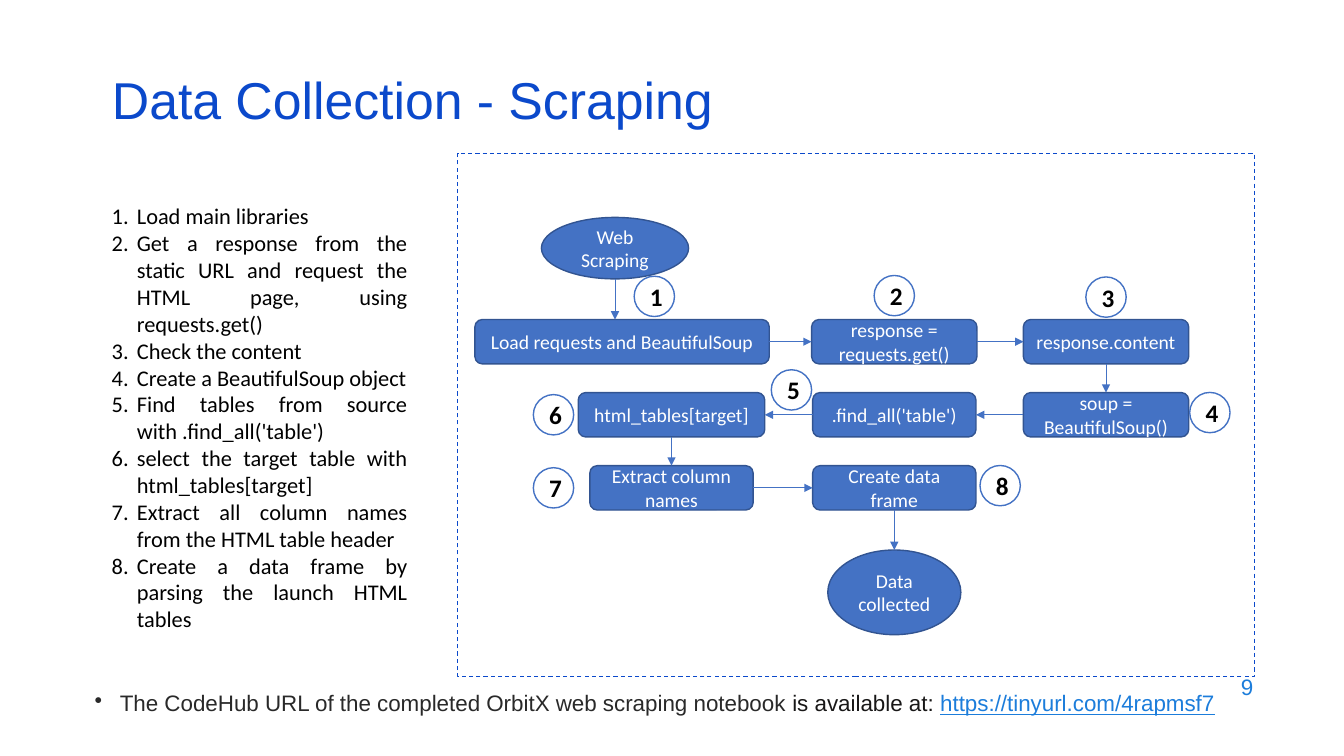
from lxml import etree
from pptx import Presentation
from pptx.dml.color import RGBColor
from pptx.enum.dml import MSO_LINE
from pptx.enum.shapes import MSO_CONNECTOR, MSO_SHAPE
from pptx.enum.text import MSO_ANCHOR, PP_ALIGN
from pptx.oxml.ns import qn
from pptx.util import Inches, Pt

COLORS = {
    "title": "0B49CB", "link": "1C7DDB", "note": "292929", "note_end": "181717",
    "node": "4472C4", "node_line": "325491", "white": "FFFFFF", "black": "000000",
}

# Flow grid: centre of each column and of each row, in inches
COLS = {"edge": 5.49, "entry": 6.10, "load": 6.17, "start": 6.49, "left": 6.66,
        "gap": 7.85, "mid": 8.87, "gap2": 9.92, "right": 10.97, "end": 12.0}
ROW_TOP, ROW_STEP = 3.39, 0.725
NODE_H, BADGE = 0.44, 0.4
TOP, LEFT, BOTTOM, RIGHT = range(4)

STEPS = [
    "Load main libraries",
    "Get a response from the static URL and request the HTML page, using requests.get()",
    "Check the content",
    "Create a BeautifulSoup object",
    "Find tables from source with .find_all('table')",
    "select the target table with html_tables[target]",
    "Extract all column names from the HTML table header",
    "Create a data frame by parsing the launch HTML tables",
]

# name: text, column, row, width
NODES = {
    "load": ("Load requests and BeautifulSoup", "load", 0, 2.92),
    "response": ("response = requests.get()", "mid", 0, 1.64),
    "content": ("response.content", "right", 0, 1.64),
    "soup": ("soup = BeautifulSoup()", "right", 1, 1.64),
    "find": (".find_all('table')", "mid", 1, 1.62),
    "target": ("html_tables[target]", "left", 1, 1.85),
    "names": ("Extract column names", "left", 2, 1.62),
    "frame": ("Create data frame", "mid", 2, 1.62),
}

# text, column, row, width, height
TERMINALS = [
    ("Web Scraping", "entry", -1.28, 1.46, 0.61),
    ("Data collected", "mid", 3.43, 1.32, 0.84),
]

LINKS = [
    ("load", RIGHT, "response", LEFT),
    ("response", RIGHT, "content", LEFT),
    ("content", BOTTOM, "soup", TOP),
    ("soup", LEFT, "find", RIGHT),
    ("find", LEFT, "target", RIGHT),
    ("target", BOTTOM, "names", TOP),
    ("names", RIGHT, "frame", LEFT),
]

# Column and row of badges 1 to 8
BADGES = [("start", -0.62), ("mid", -0.63), ("right", -0.61), ("end", 0.97),
          ("gap", 0.66), ("edge", 1), ("edge", 2), ("gap2", 1.97)]


def rgb(name):
    return RGBColor.from_string(COLORS[name])


def style(r, size, font, color, bold=None):
    r.font.size, r.font.name, r.font.bold = Pt(size), font, bold
    r.font.color.rgb = rgb(color)


def add_bullet(p, tag, **attrs):
    pPr = p._p.get_or_add_pPr()
    pPr.set("marL", str(Inches(0.25)))
    pPr.set("indent", str(-Inches(0.25)))
    etree.SubElement(pPr, qn(tag), attrs)


def add_text(slide, x, y, w, h):
    tf = slide.shapes.add_textbox(Inches(x), Inches(y), Inches(w), Inches(h)).text_frame
    tf.word_wrap = True
    return tf


def add_title(slide, text):
    sp = slide.shapes.title
    sp.left, sp.top, sp.width, sp.height = map(Inches, (1.01, 0.76, 11.5, 0.6))
    tf = sp.text_frame
    tf.text = text
    tf.vertical_anchor = MSO_ANCHOR.MIDDLE
    p = tf.paragraphs[0]
    p.alignment, p.line_spacing = PP_ALIGN.LEFT, 0.7
    style(p.runs[0], 37, "Arial", "title")


def add_steps(slide):
    tf = add_text(slide, 1.01, 1.96, 3.13, 4.4)
    tf.text = "\n".join(STEPS)
    for p in tf.paragraphs:
        p.alignment = PP_ALIGN.JUSTIFY
        add_bullet(p, "a:buAutoNum", type="arabicPeriod")
        style(p.runs[0], 16, "Calibri", "black")


def add_note(slide):
    p = add_text(slide, 0.84, 6.79, 11.43, 0.6).paragraphs[0]
    add_bullet(p, "a:buChar", char="•")
    for text, color in (
        ("The CodeHub URL of the completed OrbitX web scraping notebook", "note"),
        (" is available at: ", "note_end"),
        ("https://tinyurl.com/4rapmsf7", "link"),
    ):
        r = p.add_run()
        r.text = text
        style(r, 16, "Arial", color)
    r.font.underline = True


def add_page_number(slide, number):
    tf = add_text(slide, 9.53, 6.59, 3, 0.44)
    tf.vertical_anchor = MSO_ANCHOR.MIDDLE
    p = tf.paragraphs[0]
    p.text, p.alignment = number, PP_ALIGN.RIGHT
    style(p.runs[0], 16, "Arial", "link")


def add_frame(slide):
    sp = slide.shapes.add_shape(MSO_SHAPE.RECTANGLE, *map(Inches, (4.54, 1.52, 7.9, 5.19)))
    sp.shadow.inherit = False
    sp.fill.background()
    sp.line.color.rgb, sp.line.width = rgb("title"), Pt(0.75)
    sp.line.dash_style = MSO_LINE.DASH


def add_box(slide, kind, text, col, row, w, h, fill="node", line="node_line",
            size=14, color="white", bold=None):
    x, y = COLS[col] - w / 2, ROW_TOP + ROW_STEP * row - h / 2
    sp = slide.shapes.add_shape(kind, *map(Inches, (x, y, w, h)))
    sp.shadow.inherit = False
    sp.fill.solid()
    sp.fill.fore_color.rgb = rgb(fill)
    sp.line.color.rgb, sp.line.width = rgb(line), Pt(1)
    tf = sp.text_frame
    tf.text, tf.word_wrap, tf.vertical_anchor = text, True, MSO_ANCHOR.MIDDLE
    p = tf.paragraphs[0]
    p.alignment = PP_ALIGN.CENTER
    style(p.runs[0], size, "Calibri", color, bold)
    return sp


def add_arrow(slide, x1=0, y1=0, x2=0, y2=0):
    line = slide.shapes.add_connector(MSO_CONNECTOR.STRAIGHT, x1, y1, x2, y2)
    line.line.color.rgb, line.line.width = rgb("node"), Pt(0.5)
    etree.SubElement(line.line._get_or_add_ln(), qn("a:tailEnd"), type="triangle")
    etree.SubElement(line._element.spPr, qn("a:effectLst"))
    return line


def add_flow(slide):
    # Process boxes and terminals
    boxes = {name: add_box(slide, MSO_SHAPE.FLOWCHART_ALTERNATE_PROCESS, *node, NODE_H)
             for name, node in NODES.items()}
    first, last = [add_box(slide, MSO_SHAPE.FLOWCHART_CONNECTOR, *t) for t in TERMINALS]

    # Arrows
    for source, side, target, target_side in LINKS:
        arrow = add_arrow(slide)
        arrow.begin_connect(boxes[source], side)
        arrow.end_connect(boxes[target], target_side)
    x = first.left + first.width // 2
    add_arrow(slide, x, first.top + first.height, x, boxes["load"].top)
    arrow = add_arrow(slide, 0, 0, last.left + last.width // 2, last.top)
    arrow.begin_connect(boxes["frame"], BOTTOM)

    # Step badges
    for number, (col, row) in enumerate(BADGES, 1):
        add_box(slide, MSO_SHAPE.FLOWCHART_CONNECTOR, str(number), col, row, BADGE, BADGE,
                fill="white", line="node", size=18, color="black", bold=True)


def main():
    prs = Presentation()
    prs.slide_width, prs.slide_height = Inches(13.33), Inches(7.5)
    slide = prs.slides.add_slide(prs.slide_layouts[5])
    add_page_number(slide, "9")
    add_note(slide)
    add_title(slide, "Data Collection - Scraping")
    add_frame(slide)
    add_steps(slide)
    add_flow(slide)
    prs.save("out.pptx")


if __name__ == "__main__":
    main()
